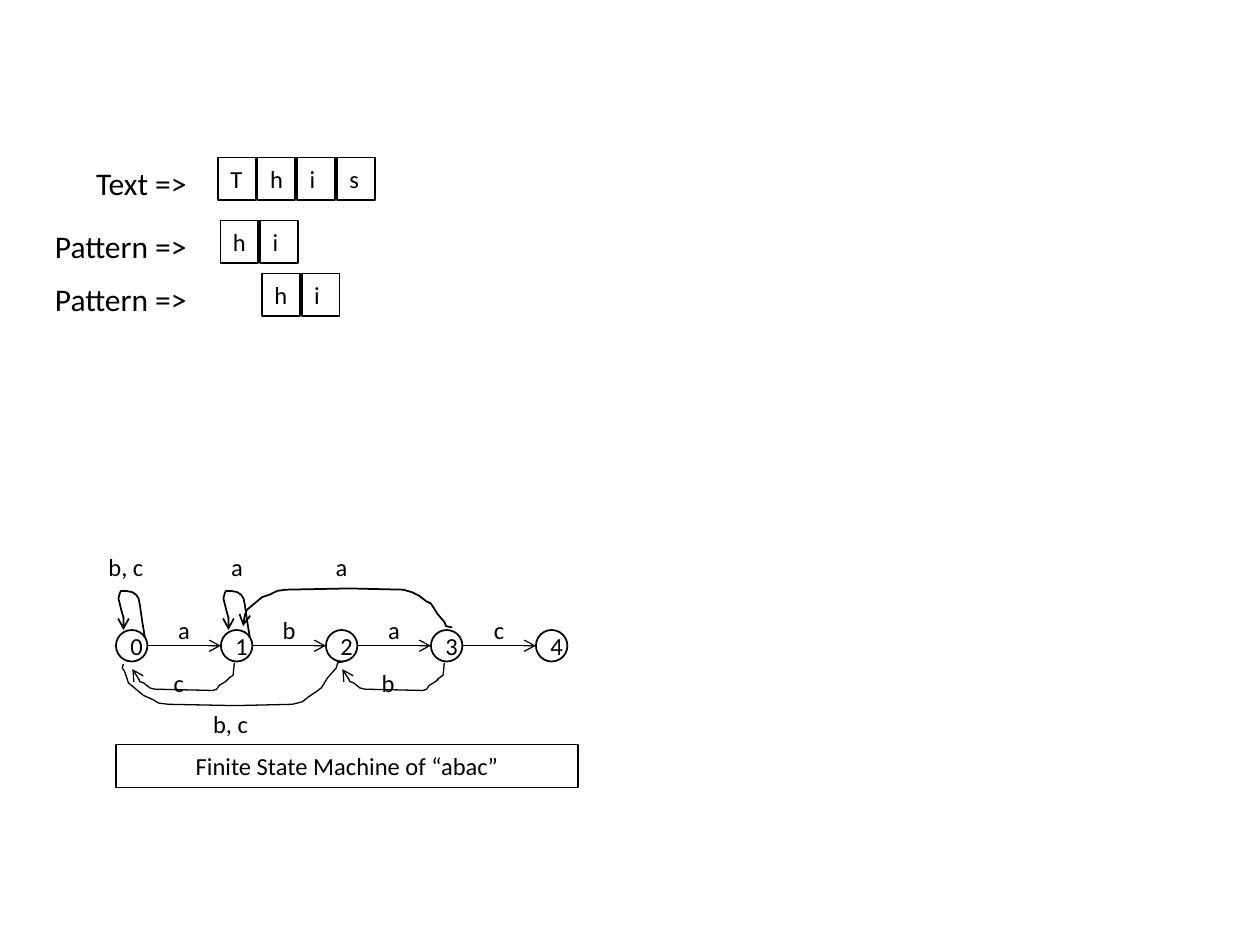
from dataclasses import dataclass
from lxml.etree import SubElement
from pptx import Presentation
from pptx.dml.color import RGBColor
from pptx.enum.shapes import MSO_CONNECTOR as Connector, MSO_SHAPE as Shape
from pptx.enum.text import MSO_ANCHOR as Anchor, MSO_AUTO_SIZE as AutoSize, PP_ALIGN as Align
from pptx.oxml.ns import qn
from pptx.util import Inches, Pt


@dataclass(frozen=True)
class Theme:
    font: str = "Calibri"
    ink: RGBColor = RGBColor(0, 0, 0)
    label: Pt = Pt(14)
    heading: Pt = Pt(18)
    outline: Pt = Pt(1)
    thin: Pt = Pt(0.75)


theme = Theme()
deck = Presentation()
deck.slide_width, deck.slide_height = Inches(10), Inches(7.5)
page = deck.slides.add_slide(deck.slide_layouts[6])


def add_text(text, left, top, width, height, preset=None, align=Align.CENTER,
             size=theme.label, anchor=Anchor.TOP, fit=AutoSize.SHAPE_TO_FIT_TEXT):
    area = [Inches(length) for length in (left, top, width, height)]
    if preset is None:
        box = page.shapes.add_textbox(*area)
    else:
        box = page.shapes.add_shape(preset, *area)
        box.shadow.inherit = False
        box.fill.background()
        box.line.color.rgb = theme.ink
        box.line.width = theme.outline
    frame = box.text_frame
    frame.text = text
    frame.word_wrap = True
    frame.auto_size = fit
    frame.vertical_anchor = anchor
    para = frame.paragraphs[0]
    para.alignment = align
    font = para.runs[0].font
    font.name, font.size, font.color.rgb = theme.font, size, theme.ink


def style_line(shape, width, arrow=True):
    shape.line.color.rgb = theme.ink
    shape.line.width = width
    if arrow:
        SubElement(shape.line._get_or_add_ln(), qn("a:tailEnd"), type="arrow")
    SubElement(shape._element.spPr, qn("a:effectLst"))


label_height = 0.34
cell_width, cell_pitch = 0.3, 0.315
heading_right = 1.58
match_rows = [
    ("Text =>", "This", 1.73, 1.25, 1),
    ("Pattern =>", "hi", 1.75, 1.75, 1.42),
    ("Pattern =>", "hi", 2.08, 2.17, 1.42),
]
for heading, letters, left, top, heading_width in match_rows:
    for column, letter in enumerate(letters):
        add_text(letter, left + column * cell_pitch, top, cell_width, label_height,
                 Shape.RECTANGLE, Align.LEFT, anchor=Anchor.MIDDLE)
    add_text(heading, heading_right - heading_width, top, heading_width, 0.4,
             align=Align.RIGHT, size=theme.heading)

state_left, state_top, state_size, state_pitch = 0.92, 5, 0.25, 2.5 / 3
for state in range(5):
    left = state_left + state * state_pitch
    add_text(str(state), left, state_top, state_size, state_size, Shape.OVAL,
             anchor=Anchor.MIDDLE, fit=AutoSize.NONE)

for state, letter in enumerate("abac"):
    left = state_left + state * state_pitch
    middle = Inches(state_top + state_size / 2)
    step = page.shapes.add_connector(
        Connector.STRAIGHT, Inches(left + state_size), middle,
        Inches(left + state_pitch), middle)
    style_line(step, theme.thin)
    add_text(letter, left + 0.33, 4.83, 0.42, label_height)

self_loop = [
    (1.15, 5.06), (1.13, 4.94), (1.11, 4.8), (1.1, 4.75), (1.08, 4.72), (1.05, 4.7),
    (1, 4.69), (0.96, 4.69), (0.95, 4.71), (0.94, 4.75), (0.96, 4.83), (0.97, 4.87),
    (0.98, 4.9), (0.98, 5),
]
step_back = [
    (1.86, 5.26), (1.85, 5.36), (1.82, 5.38), (1.79, 5.41), (1.74, 5.44), (1.72, 5.47),
    (1.69, 5.48), (1.23, 5.47), (1.19, 5.46), (1.14, 5.42), (1.11, 5.41), (1.08, 5.34),
    (1.05, 5.31),
]
two_to_zero = [
    (2.73, 5.25), (2.68, 5.26), (2.67, 5.3), (2.6, 5.38), (2.57, 5.43), (2.55, 5.46),
    (2.51, 5.49), (2.45, 5.53), (2.4, 5.57), (2.32, 5.59), (1.87, 5.6), (1.34, 5.59),
    (1.26, 5.58), (1.21, 5.55), (1.14, 5.52), (1.08, 5.47), (1.02, 5.42), (1, 5.36),
    (0.99, 5.33), (0.97, 5.3), (0.98, 5.27),
]
three_to_one = [
    (3.59, 4.98), (3.54, 4.97), (3.53, 4.94), (3.47, 4.87), (3.44, 4.82), (3.42, 4.79),
    (3.38, 4.77), (3.33, 4.73), (3.27, 4.7), (3.2, 4.68), (2.77, 4.67), (2.27, 4.68),
    (2.2, 4.69), (2.14, 4.72), (2.08, 4.74), (2.02, 4.79), (1.96, 4.84), (1.94, 4.89),
    (1.93, 4.91), (1.92, 4.94), (1.93, 4.97),
]
curves = [
    (step_back, 0, theme.thin, True),
    (self_loop, 1, theme.outline, True),
    (self_loop, 0, theme.outline, True),
    (two_to_zero, 0, theme.thin, False),
    (three_to_one, 0, theme.outline, True),
    (step_back, 2, theme.thin, True),
]
for points, shift, width, arrow in curves:
    start, *rest = [(Inches(x + shift * state_pitch), Inches(y)) for x, y in points]
    builder = page.shapes.build_freeform(*start)
    builder.add_line_segments(rest, close=False)
    curve = builder.convert_to_shape()
    curve.fill.background()
    style_line(curve, width, arrow)

curve_labels = [
    ("c", 1.17, 5.25, 0.5),
    ("a", 1.67, 4.33, 0.42),
    ("b, c", 0.75, 4.33, 0.5),
    ("b, c", 1.58, 5.58, 0.5),
    ("a", 2.5, 4.33, 0.42),
    ("b", 2.83, 5.25, 0.5),
]
for letters, left, top, width in curve_labels:
    add_text(letters, left, top, width, label_height)

add_text("Finite State Machine of “abac”", state_left, 5.91, 3.67, label_height, Shape.RECTANGLE)

deck.save("out.pptx")
